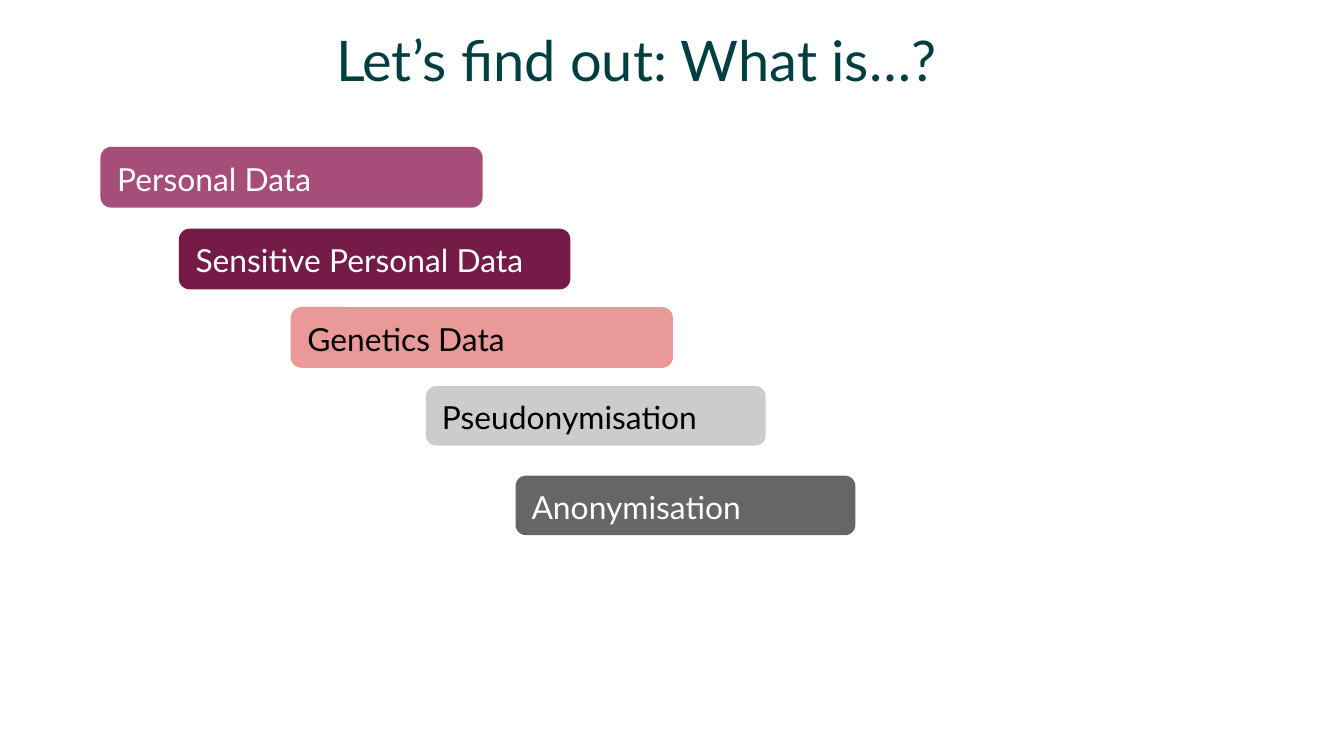
import pptx
import pptx.util
import pptx.dml.color
import pptx.enum.shapes
import pptx.enum.text

Pt = pptx.util.Pt
RGBColor = pptx.dml.color.RGBColor
ANCHOR = pptx.enum.text.MSO_ANCHOR
ALIGN = pptx.enum.text.PP_ALIGN

TEAL = RGBColor(0x00, 0x3F, 0x41)
MAUVE = RGBColor(0xA6, 0x4D, 0x79)
PLUM = RGBColor(0x74, 0x1B, 0x47)
ROSE = RGBColor(0xEA, 0x99, 0x99)
LIGHT_GREY = RGBColor(0xCC, 0xCC, 0xCC)
DARK_GREY = RGBColor(0x66, 0x66, 0x66)
WHITE = RGBColor(0xFF, 0xFF, 0xFF)
BLACK = RGBColor(0x00, 0x00, 0x00)

STEP_HEIGHT = 31.8


def write_line(shape, text, size, color, left_inset, top_inset):
    frame = shape.text_frame
    frame.text = text
    frame.word_wrap = True
    frame.auto_size = pptx.enum.text.MSO_AUTO_SIZE.NONE
    frame.vertical_anchor = ANCHOR.TOP
    frame.margin_left, frame.margin_top = Pt(left_inset), Pt(top_inset)
    frame.margin_right = frame.margin_bottom = 0
    paragraph = frame.paragraphs[0]
    paragraph.alignment = ALIGN.LEFT
    paragraph.font.name = "Lato"
    paragraph.font.size = Pt(size)
    paragraph.font.color.rgb = color


deck = pptx.Presentation()
deck.slide_width, deck.slide_height = Pt(720), Pt(405)
slide = deck.slides.add_slide(deck.slide_layouts[5])

title = slide.shapes.title
title.left, title.top, title.width, title.height = Pt(180), Pt(13.7), Pt(374.4), Pt(41)
write_line(title, "Let’s find out: What is…?", 30, TEAL, 0, 0)

# Term, left, top, width, fill, text colour, outlined
steps = [
    ("Personal Data", 54.2, 79.1, 204, MAUVE, WHITE, True),
    ("Sensitive Personal Data", 96.2, 122.9, 209, PLUM, WHITE, True),
    ("Genetics Data", 156.1, 164.9, 204, ROSE, BLACK, True),
    ("Pseudonymisation", 228.2, 206.9, 182, LIGHT_GREY, BLACK, False),
    ("Anonymisation", 276.2, 254.9, 182, DARK_GREY, WHITE, False),
]
for term, left, top, width, fill, text_color, outlined in steps:
    step = slide.shapes.add_shape(
        pptx.enum.shapes.MSO_SHAPE.ROUNDED_RECTANGLE,
        Pt(left), Pt(top), Pt(width), Pt(STEP_HEIGHT))
    step.shadow.inherit = False
    step.adjustments[0] = 0.17
    step.fill.solid()
    step.fill.fore_color.rgb = fill
    if outlined:
        step.line.color.rgb = fill
        step.line.width = Pt(0.75)
    else:
        step.line.fill.background()
    write_line(step, term, 17, text_color, 7, 4.7)

deck.save("out.pptx")
